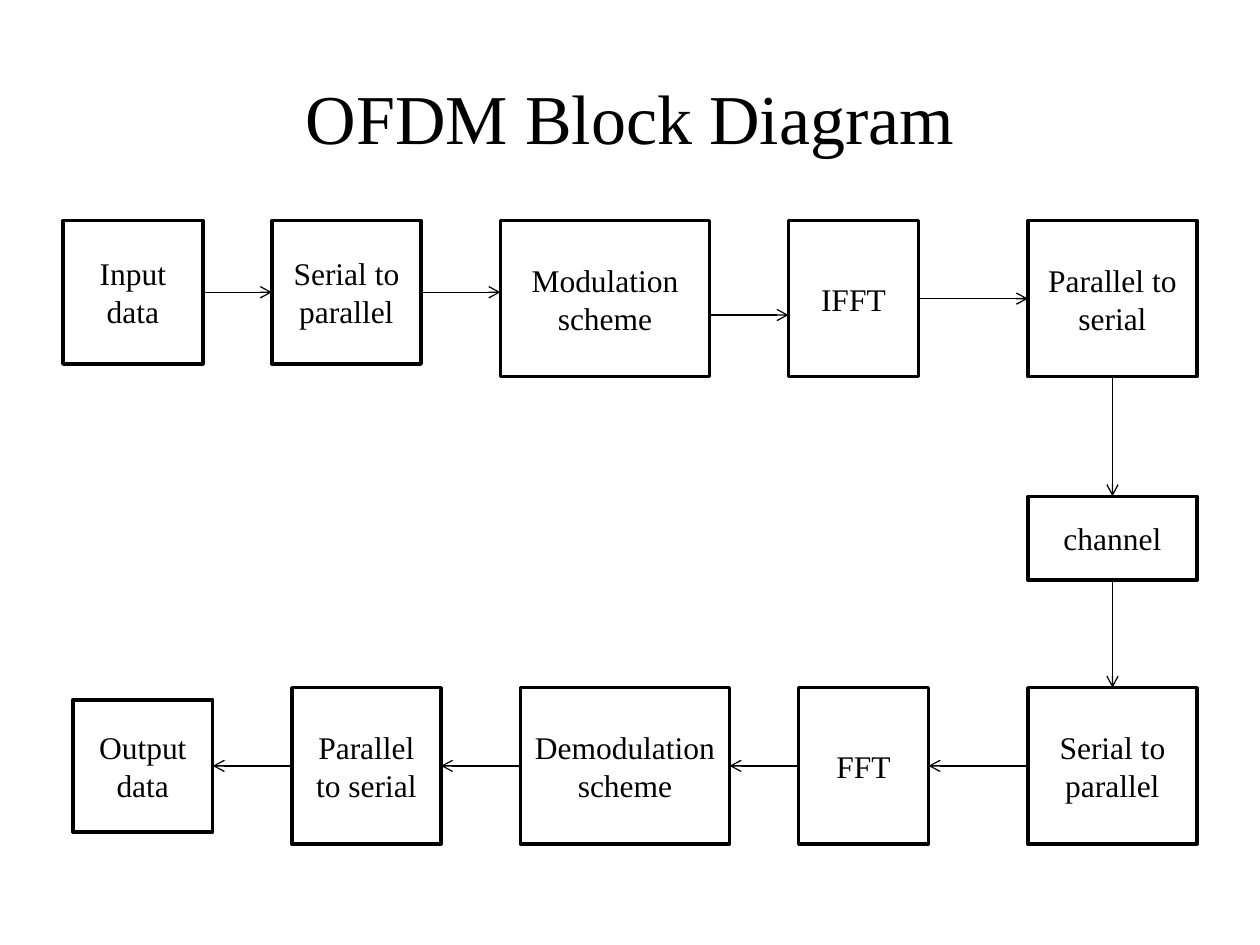
"""Build the OFDM block diagram slide."""
from dataclasses import dataclass

from pptx import Presentation
from pptx.dml.color import RGBColor
from pptx.enum.shapes import MSO_CONNECTOR, MSO_SHAPE
from pptx.enum.text import MSO_ANCHOR, PP_ALIGN
from pptx.oxml.ns import qn
from pptx.util import Pt
from lxml import etree

RECT = MSO_SHAPE.RECTANGLE
STRAIGHT = MSO_CONNECTOR.STRAIGHT
MIDDLE = MSO_ANCHOR.MIDDLE
CENTER = PP_ALIGN.CENTER
TOP, LEFT, BOTTOM, RIGHT = range(4)


@dataclass(frozen=True)
class Theme:
    ink: RGBColor = RGBColor(0, 0, 0)
    paper: RGBColor = RGBColor(255, 255, 255)
    font: str = "Times New Roman"
    title: float = 40
    label: float = 18
    border: float = 2
    arrow: float = 0.75


THEME = Theme()
ROW_TOP, ROW_BOTTOM, TALL = 126, 393, 89.3
BLOCKS = {
    "input": ("Input data", 36, ROW_TOP, 80, 82),
    "split": ("Serial to parallel", 155.4, ROW_TOP, 85.2, 82),
    "modulate": ("Modulation scheme", 286, ROW_TOP, 119.5, TALL),
    "ifft": ("IFFT", 450.6, ROW_TOP, 74.2, TALL),
    "merge": ("Parallel to serial", 587.4, ROW_TOP, 96.6, TALL),
    "channel": ("channel", 587.4, 283.6, 96.6, 48),
    "resplit": ("Serial to parallel", 587.4, ROW_BOTTOM, 96.6, TALL),
    "fft": ("FFT", 456.4, ROW_BOTTOM, 74.2, TALL),
    "demodulate": ("Demodulation scheme", 297.4, ROW_BOTTOM, 119.5, TALL),
    "remerge": ("Parallel to serial", 166.8, ROW_BOTTOM, 85.2, TALL),
    "output": ("Output data", 41.6, 399.9, 80, 75.5),
}
ARROWS = [
    ("input", RIGHT, "split", LEFT, None),
    ("split", RIGHT, "modulate", LEFT, 167),
    ("modulate", RIGHT, "ifft", LEFT, 180),
    ("ifft", RIGHT, "merge", LEFT, None),
    ("merge", BOTTOM, "channel", TOP, None),
    ("channel", BOTTOM, "resplit", TOP, None),
    ("resplit", LEFT, "fft", RIGHT, None),
    ("fft", LEFT, "demodulate", RIGHT, None),
    ("demodulate", LEFT, "remerge", RIGHT, None),
    ("remerge", LEFT, "output", RIGHT, None),
]


def write(tf, text, size):
    """Fill a text frame with one centred line of text."""
    for name, value in {"word_wrap": True, "vertical_anchor": MIDDLE}.items():
        setattr(tf, name, value)
    p = tf.paragraphs[0]
    p.alignment = CENTER
    r = p.add_run()
    r.text = text
    for name, value in {"name": THEME.font, "size": Pt(size)}.items():
        setattr(r.font, name, value)
    r.font.color.rgb = THEME.ink


def add_title(s, text):
    """Place and format the title placeholder."""
    sp = s.shapes.title
    box = {"left": 36, "top": 21.6, "width": 648, "height": 90}
    for name, value in box.items():
        setattr(sp, name, Pt(value))
    write(sp.text_frame, text, THEME.title)


def add_block(shapes, text, *box):
    """Add one outlined block with its label."""
    sp = shapes.add_shape(RECT, *map(Pt, box))
    sp.shadow.inherit = False
    sp.fill.solid()
    sp.fill.fore_color.rgb = THEME.paper
    sp.line.color.rgb = THEME.ink
    sp.line.width = Pt(THEME.border)
    write(sp.text_frame, text, THEME.label)
    return sp


def side_middle(sp, side):
    """Return the middle of one side of a block."""
    x = {LEFT: sp.left, RIGHT: sp.left + sp.width}.get(side, sp.left + sp.width // 2)
    y = {TOP: sp.top, BOTTOM: sp.top + sp.height}.get(side, sp.top + sp.height // 2)
    return x, y


def add_arrow(shapes, start, start_side, end, end_side, level):
    """Link two blocks, joining each end that meets the middle of a side."""
    x1, y1 = side_middle(start, start_side)
    x2, y2 = side_middle(end, end_side)
    ends = (x1, y1, x2, y2) if level is None else (x1, Pt(level), x2, Pt(level))
    cxn = shapes.add_connector(STRAIGHT, *ends)
    if ends[1] == y1:
        cxn.begin_connect(start, start_side)
    if ends[3] == y2:
        cxn.end_connect(end, end_side)
    cxn.line.color.rgb = THEME.ink
    cxn.line.width = Pt(THEME.arrow)
    etree.SubElement(cxn.line._get_or_add_ln(), qn("a:tailEnd"), type="arrow")
    etree.SubElement(cxn._element.spPr, qn("a:effectLst"))


def main():
    """Build and save the slide."""
    prs = Presentation()
    prs.slide_width, prs.slide_height = Pt(720), Pt(540)
    s = prs.slides.add_slide(prs.slide_layouts[5])
    add_title(s, "OFDM Block Diagram")
    shapes = s.shapes.add_group_shape().shapes
    blocks = {key: add_block(shapes, *block) for key, block in BLOCKS.items()}
    for start, start_side, end, end_side, level in ARROWS:
        add_arrow(shapes, blocks[start], start_side, blocks[end], end_side, level)
    prs.save("out.pptx")


if __name__ == "__main__":
    main()
